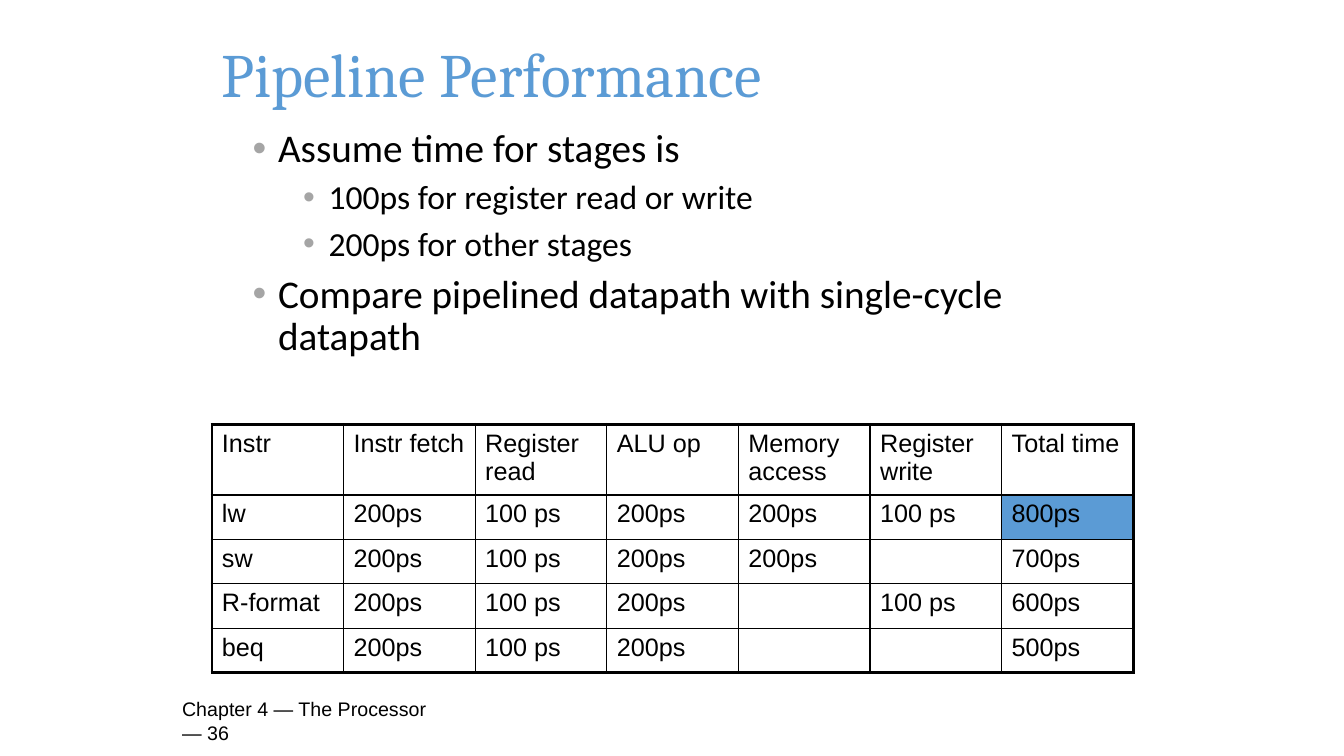
import dataclasses

import pptx
import pptx.dml.color
import pptx.enum.text
import pptx.oxml.ns
import pptx.util
from lxml import etree

Cm = pptx.util.Cm
Pt = pptx.util.Pt
ANCHOR = pptx.enum.text.MSO_ANCHOR


@dataclasses.dataclass(frozen=True)
class Theme:
    accent: str = "5B9BD5"
    bullet: str = "A5A5A5"
    ink: str = "000000"
    title_font: str = "Cambria"
    body_font: str = "Calibri"
    plain_font: str = "Arial"
    title_size: int = 44
    body_sizes: tuple = (28, 24)
    body_gaps: tuple = (8, 7)
    table_size: int = 18
    footer_size: int = 14
    outer_line: float = 2.25
    header_line: float = 1.5
    inner_line: float = 1


class SlideBuilder:
    def __init__(self, s, theme):
        self.s = s
        self.theme = theme

    def run(self, p, text, font, size, color):
        r = p.add_run()
        r.text = text
        r.font.name = font
        r.font.size = Pt(size)
        r.font.color.rgb = pptx.dml.color.RGBColor.from_string(color)

    def frame(self, box, anchor):
        sp = self.s.shapes.add_textbox(*(Cm(v) for v in box))
        tf = sp.text_frame
        tf.word_wrap = True
        tf.vertical_anchor = anchor
        return tf

    def label(self, text, box, font, size, color):
        tf = self.frame(box, ANCHOR.MIDDLE)
        self.run(tf.paragraphs[0], text, font, size, color)
        return tf

    def bullets(self, items, box):
        t = self.theme
        tf = self.frame(box, ANCHOR.TOP)
        for i, (level, text) in enumerate(items):
            p = tf.add_paragraph() if i else tf.paragraphs[0]
            self.bullet(p, level)
            p.level = level
            p.line_spacing = 0.9
            if i:
                p.space_before = Pt(t.body_gaps[level])
            self.run(p, text, t.body_font, t.body_sizes[level], t.ink)

    def bullet(self, p, level):
        qn = pptx.oxml.ns.qn
        pPr = p._p.get_or_add_pPr()
        pPr.set("marL", str(Cm(0.64 + 1.27 * level)))
        pPr.set("indent", str(-Cm(0.64)))
        color = etree.SubElement(pPr, qn("a:buClr"))
        etree.SubElement(color, qn("a:srgbClr"), val=self.theme.bullet)
        etree.SubElement(pPr, qn("a:buFont"), typeface=self.theme.plain_font)
        etree.SubElement(pPr, qn("a:buChar"), char="•")

    def table(self, rows, box, heights, highlight):
        t = self.theme
        last_row, last_col = len(rows) - 1, len(rows[0]) - 1
        sp = self.s.shapes.add_table(len(rows), len(rows[0]), *(Cm(v) for v in box))
        table = sp.table
        table.first_row = table.horz_banding = False
        for column in table.columns:
            column.width = Cm(box[2] / len(rows[0]))
        for i, values in enumerate(rows):
            table.rows[i].height = Cm(heights[i])
            for j, text in enumerate(values):
                cell = table.cell(i, j)
                top = {0: t.outer_line, 1: t.header_line}.get(i, t.inner_line)
                bottom = {0: t.header_line, last_row: t.outer_line}.get(i, t.inner_line)
                self.borders(cell, {
                    "L": t.inner_line if j else t.outer_line,
                    "R": t.outer_line if j == last_col else t.inner_line,
                    "T": top,
                    "B": bottom,
                })
                if (i, j) == highlight:
                    cell.fill.solid()
                    cell.fill.fore_color.rgb = pptx.dml.color.RGBColor.from_string(t.accent)
                else:
                    cell.fill.background()
                if text:
                    self.run(cell.text_frame.paragraphs[0], text, t.plain_font, t.table_size, t.ink)

    def borders(self, cell, widths):
        qn = pptx.oxml.ns.qn
        tcPr = cell._tc.get_or_add_tcPr()
        for side, width in widths.items():
            line = etree.SubElement(tcPr, qn(f"a:ln{side}"), w=str(Pt(width)))
            fill = etree.SubElement(line, qn("a:solidFill"))
            etree.SubElement(fill, qn("a:srgbClr"), val=self.theme.ink)


def main():
    prs = pptx.Presentation()
    prs.slide_width, prs.slide_height = Cm(33.87), Cm(19.05)
    theme = Theme()
    slide = SlideBuilder(prs.slides.add_slide(prs.slide_layouts[6]), theme)

    slide.label("Pipeline Performance", (5.33, 0, 25.1, 3.68),
                theme.title_font, theme.title_size, theme.accent)
    slide.bullets([
        (0, "Assume time for stages is"),
        (1, "100ps for register read or write"),
        (1, "200ps for other stages"),
        (0, "Compare pipelined datapath with single-cycle datapath"),
    ], (6.12, 3.12, 22.99, 7.04))
    slide.label("Chapter 4 — The Processor — 36", (4.34, 17.65, 7.09, 1.02),
                theme.plain_font, theme.footer_size, theme.ink)
    slide.table([
        ("Instr", "Instr fetch", "Register read", "ALU op", "Memory access",
         "Register write", "Total time"),
        ("lw", "200ps", "100 ps", "200ps", "200ps", "100 ps", "800ps"),
        ("sw", "200ps", "100 ps", "200ps", "200ps", "", "700ps"),
        ("R-format", "200ps", "100 ps", "200ps", "", "100 ps", "600ps"),
        ("beq", "200ps", "100 ps", "200ps", "", "", "500ps"),
    ], (5.34, 10.69, 23.22, 6.26), [1.78] + [1.12] * 4, highlight=(1, 6))
    prs.save("out.pptx")


if __name__ == "__main__":
    main()
